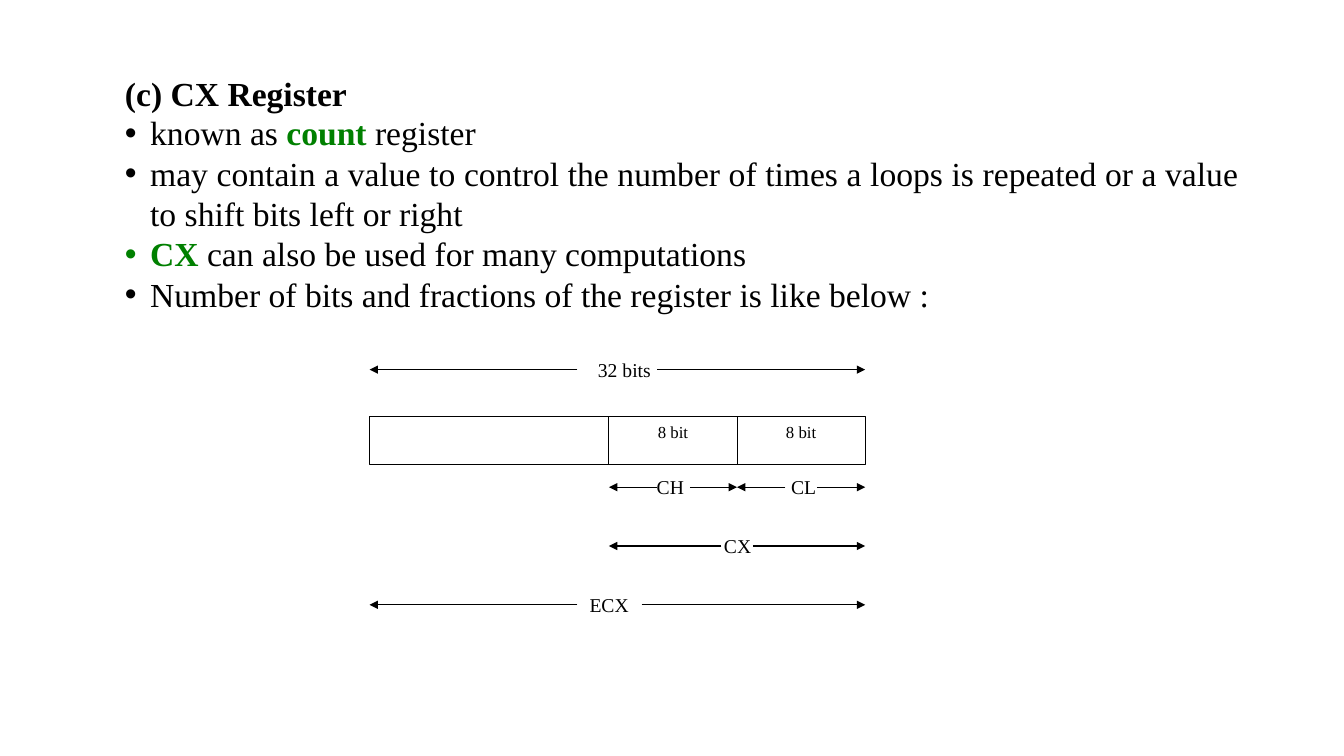
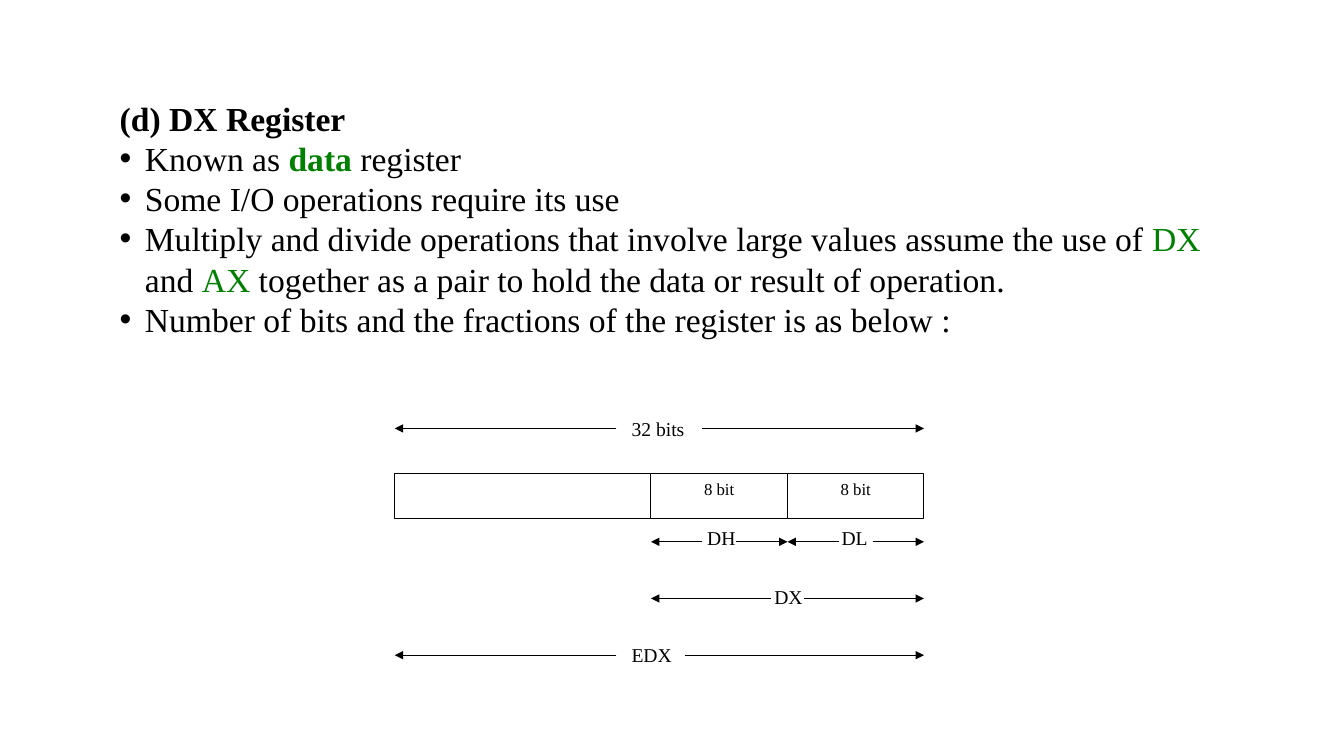
import pptx
import pptx.util
import pptx.dml.color
import pptx.enum.shapes
import pptx.enum.text
import pptx.oxml.ns
import lxml.etree

PX = 9525  # EMU per px, 1280 x 720 px on a slide
COLORS = {"ink": "000000", "paper": "FFFFFF", "key": "008000"}
FONT = "Times New Roman"
LINE_SPACING = 1.2
BULLET_INDENT = 24
ALIGN = pptx.enum.text.PP_ALIGN

# Run styles
PLAIN = {"color": "ink", "bold": False}
STRONG = {"color": "ink", "bold": True}
KEY = {"color": "key", "bold": False}
STRONG_KEY = {"color": "key", "bold": True}

# Register bar: cell edges, and rows of arrows with the gap left for a label
UNITS = 31
CELLS = [(0, 15, ""), (15, 23, "8 bit"), (23, 31, "8 bit")]
SPANS = [  # row, left end, gap start, gap end, right end
    (0, 0, 13, 18, 31),
    (2, 15, 18, 20, 23),
    (2, 23, 26, 28, 31),
    (3, 15, 22, 24, 31),
    (4, 0, 13, 17, 31),
]
BAR_ROW = 0.8
BAR_HEIGHT = 0.8


def rgb(name):
    return pptx.dml.color.RGBColor.from_string(COLORS[name])


def emu(*lengths):
    return [pptx.util.Emu(round(n) * PX) for n in lengths]


def add_xml(parent, tag, **attributes):
    return lxml.etree.SubElement(parent, pptx.oxml.ns.qn(tag), attributes)


class Deck:
    """Holds the style and the current slide."""

    def __init__(self):
        self.prs = pptx.Presentation()
        self.prs.slide_width, self.prs.slide_height = emu(1280, 720)
        self.s = None

    def add_slide(self):
        self.s = self.prs.slides.add_slide(self.prs.slide_layouts[1])

    def place(self, sp, x, y, w, h):
        for name, value in zip(("left", "top", "width", "height"), emu(x, y, w, h)):
            setattr(sp, name, value)

    def frame(self, sp, margin=None):
        tf = sp.text_frame
        values = {
            "word_wrap": True,
            "auto_size": pptx.enum.text.MSO_AUTO_SIZE.NONE,
            "vertical_anchor": pptx.enum.text.MSO_ANCHOR.TOP,
        }
        if margin is not None:
            for side in ("left", "top", "right", "bottom"):
                values["margin_" + side] = margin
        for name, value in values.items():
            setattr(tf, name, value)
        return tf

    def add_text(self, p, runs, size, align=ALIGN.LEFT):
        values = {
            "alignment": align,
            "space_before": pptx.util.Pt(0),
            "line_spacing": pptx.util.Pt(size * LINE_SPACING),
        }
        for name, value in values.items():
            setattr(p, name, value)
        for text, style in runs:
            r = p.add_run()
            r.text = text
            font = {"name": FONT, "size": pptx.util.Pt(size), "bold": style["bold"]}
            for name, value in font.items():
                setattr(r.font, name, value)
            r.font.color.rgb = rgb(style["color"])

    def title(self, text, x, y, w, h):
        sp = self.s.shapes.title
        self.place(sp, x, y, w, h)
        self.add_text(self.frame(sp, 0).paragraphs[0], [(text, STRONG)], 24)

    def bullets(self, items, x, y, w, h, align):
        sp = self.s.placeholders[1]
        self.place(sp, x, y, w, h)
        tf = self.frame(sp, 0)
        for i, runs in enumerate(items):
            p = tf.add_paragraph() if i else tf.paragraphs[0]
            pPr = p._p.get_or_add_pPr()
            pPr.set("marL", str(BULLET_INDENT * PX))
            pPr.set("indent", str(-BULLET_INDENT * PX))
            add_xml(pPr, "a:buFont", typeface="Arial")
            add_xml(pPr, "a:buChar", char="•")
            self.add_text(p, runs, 24, align)

    def label(self, text, x, y):
        sp = self.s.shapes.add_textbox(*emu(x, y, 80, 32))
        self.add_text(self.frame(sp).paragraphs[0], [(text, PLAIN)], 14)

    def cell(self, text, x, y, w, h):
        sp = self.s.shapes.add_shape(
            pptx.enum.shapes.MSO_SHAPE.RECTANGLE, *emu(x, y, w, h))
        sp.shadow.inherit = False
        sp.fill.solid()
        sp.fill.fore_color.rgb = rgb("paper")
        sp.line.color.rgb = rgb("ink")
        sp.line.width = pptx.util.Pt(0.75)
        if text:
            p = self.frame(sp).paragraphs[0]
            self.add_text(p, [(text, PLAIN)], 12, ALIGN.CENTER)

    def arrow(self, x1, x2, y):
        sp = self.s.shapes.add_connector(
            pptx.enum.shapes.MSO_CONNECTOR.STRAIGHT, *emu(x1, y, x2, y))
        sp.line.color.rgb = rgb("ink")
        sp.line.width = pptx.util.Pt(0.75)
        ln = sp._element.spPr.find(pptx.oxml.ns.qn("a:ln"))
        add_xml(ln, "a:tailEnd", type="triangle")
        add_xml(sp._element.spPr, "a:effectLst")

    def register(self, x, y, width, step, labels):
        def at(unit):
            return round(x + unit * width / UNITS)

        for start, end, text in CELLS:
            self.cell(text, at(start), y + BAR_ROW * step,
                      at(end) - at(start), BAR_HEIGHT * step)
        for row, start, gap_start, gap_end, end in SPANS:
            self.arrow(at(gap_start), at(start), y + row * step)
            self.arrow(at(gap_end), at(end), y + row * step)
        for text, left, top in labels:
            self.label(text, left, top)


SLIDES = [
    {
        "title": "(c) CX Register",
        "at": (119, 69),
        "align": ALIGN.JUSTIFY,
        "items": [
            [("known as ", PLAIN), ("count", STRONG_KEY), (" register", PLAIN)],
            [("may contain a value to control the number of times a loops is "
              "repeated or a value to shift bits left or right", PLAIN)],
            [("CX", STRONG_KEY), (" can also be used for many computations", PLAIN)],
            [("Number of bits and fractions of the register is like below :", PLAIN)],
        ],
        "register": {
            "x": 352, "y": 352, "width": 472, "step": 56,
            "labels": [("32 bits", 560, 336), ("CH", 616, 448), ("CL", 744, 448),
                       ("CX", 680, 504), ("ECX", 552, 560)],
        },
    },
    {
        "title": "(d) DX Register",
        "at": (114, 93),
        "align": ALIGN.LEFT,
        "items": [
            [("Known as ", PLAIN), ("data", STRONG_KEY), (" register", PLAIN)],
            [("Some I/O operations require its use", PLAIN)],
            [("Multiply and divide operations that involve large values assume "
              "the use of ", PLAIN), ("DX", KEY), (" and ", PLAIN), ("AX", KEY),
             (" together as a pair to hold the data or result of operation.", PLAIN)],
            [("Number of bits and the fractions of the register is as below :", PLAIN)],
        ],
        "register": {
            "x": 376, "y": 408, "width": 504, "step": 54,
            "labels": [("32 bits", 592, 392), ("DH", 664, 496), ("DL", 792, 496),
                       ("DX", 728, 552), ("EDX", 592, 608)],
        },
    },
]


def main():
    deck = Deck()
    for page in SLIDES:
        deck.add_slide()
        x, y = page["at"]
        deck.title(page["title"], x, y, 1061, 38)
        deck.bullets(page["items"], x, y + 38, 1061, 194, page["align"])
        deck.register(**page["register"])
    deck.prs.save("out.pptx")


if __name__ == "__main__":
    main()
